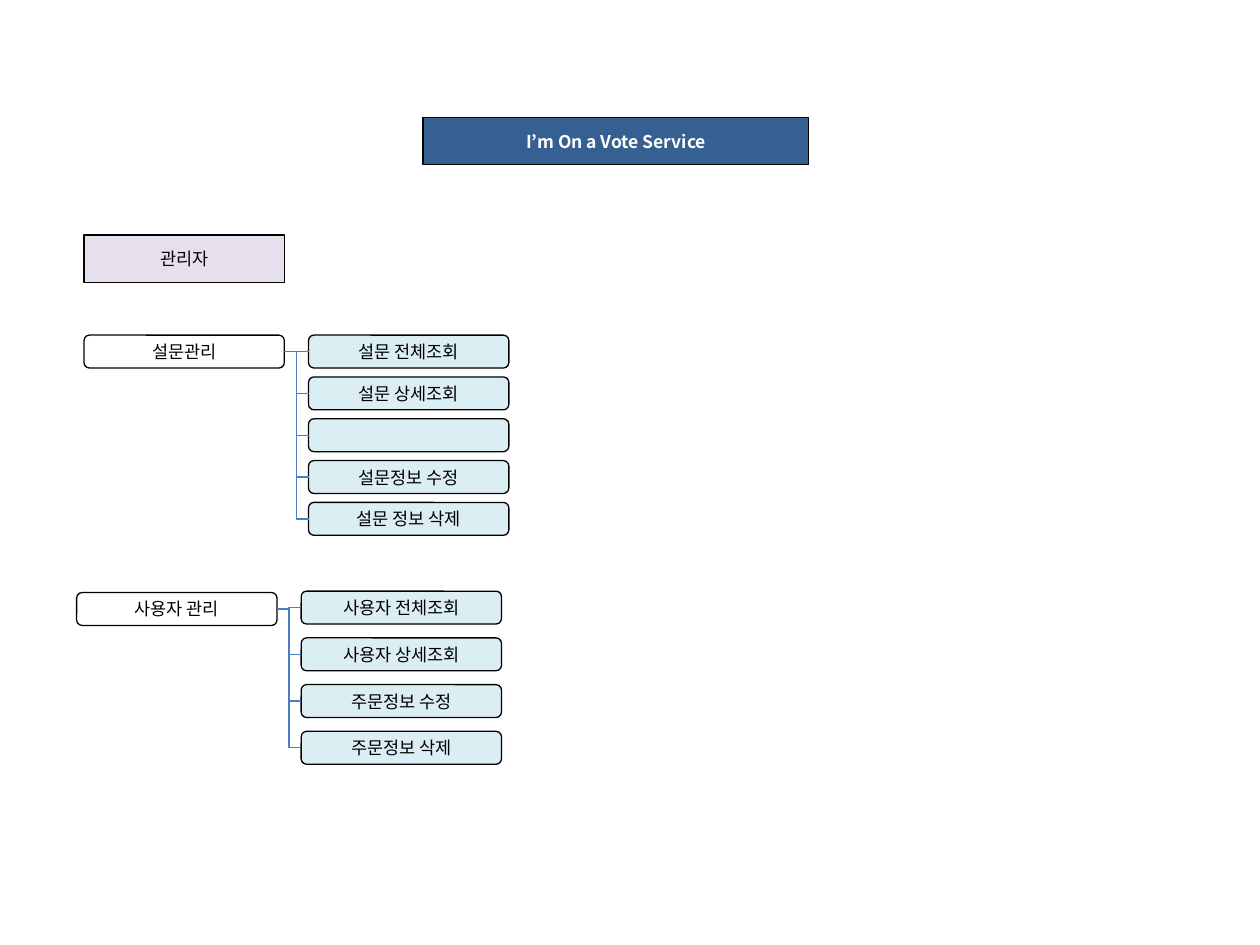
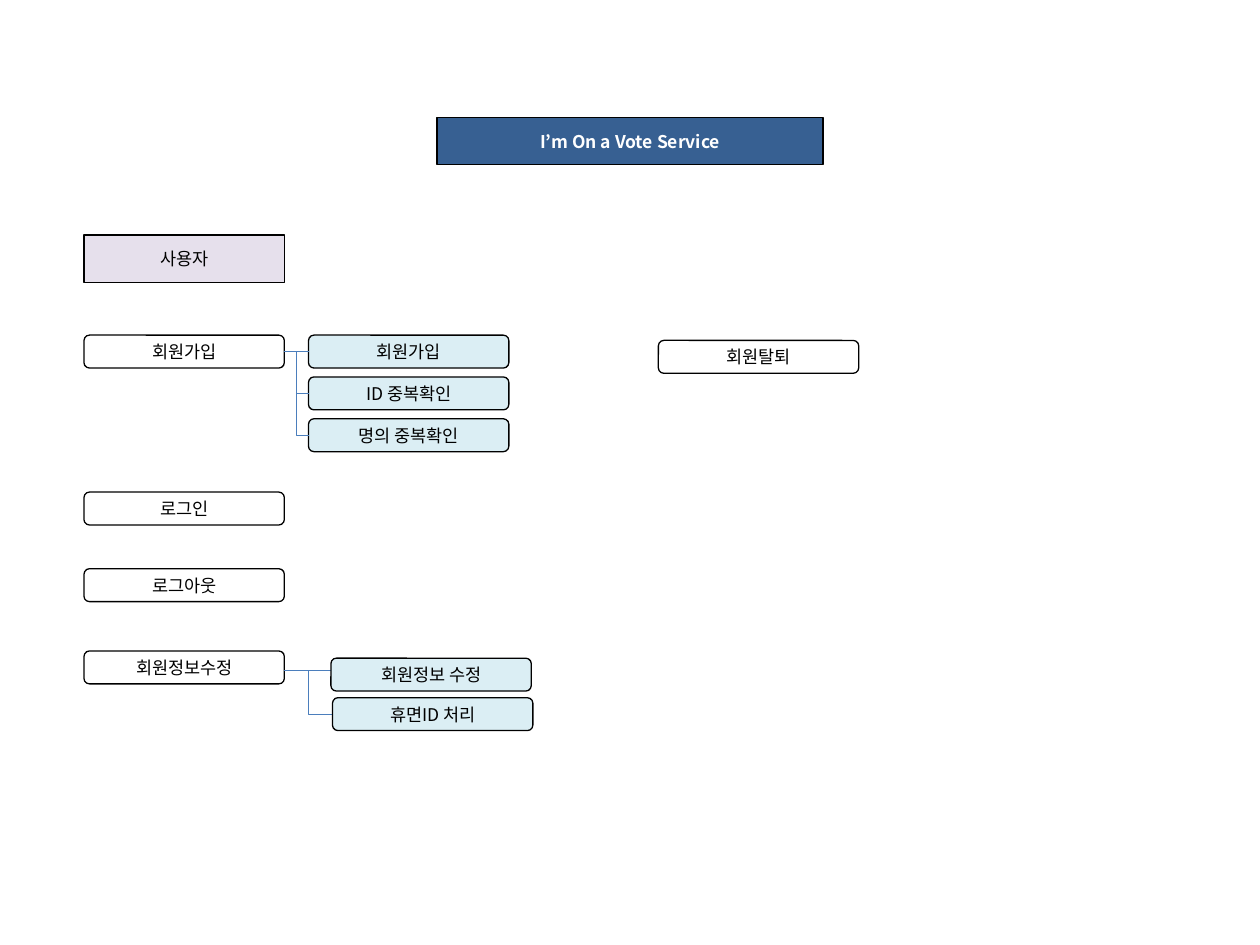
"""Builds the administrator and user menu trees of a voting service."""
from pptx import Presentation
from pptx.dml.color import RGBColor
from pptx.enum import shapes, text
from pptx.oxml import ns, xmlchemy
from pptx.util import Pt

FONT = "Noto Sans CJK KR"
BLACK = RGBColor(0x00, 0x00, 0x00)
WHITE = RGBColor(0xFF, 0xFF, 0xFF)
NAVY = RGBColor(0x37, 0x60, 0x92)
LILAC = RGBColor(0xE6, 0xE0, 0xEC)
PALE_BLUE = RGBColor(0xDB, 0xEE, 0xF4)
LINK_BLUE = RGBColor(0x4B, 0x7E, 0xBC)

HEADER_HEIGHT = 27
BOX_WIDTH, BOX_HEIGHT = 114.5, 18.8
MENU_LEFT, MENU_TOP = 48, 191.5
ITEM_OFFSET = 128.3
ITEM_PITCH = 23.9


def write(shape, words, *, size=10, color=BLACK, bold=False):
    """Write one centred line in a shape."""
    frame = shape.text_frame
    frame.word_wrap = True
    frame.vertical_anchor = text.MSO_ANCHOR.MIDDLE
    paragraph = frame.paragraphs[0]
    paragraph.alignment = text.PP_ALIGN.CENTER
    run = paragraph.add_run()
    run.text = words
    run.font.name = FONT
    run.font.size = Pt(size)
    run.font.bold = bold
    run.font.color.rgb = color
    east_asian = xmlchemy.OxmlElement("a:ea")
    east_asian.set("typeface", FONT)
    run.font._element.find(ns.qn("a:latin")).addnext(east_asian)


def box(slide, words, left, top, width=BOX_WIDTH, height=BOX_HEIGHT, *, fill=None,
        outline=shapes.MSO_SHAPE.ROUNDED_RECTANGLE, **text_format):
    """Draw an outlined box, with its label if there is one."""
    shape = slide.shapes.add_shape(outline, Pt(left), Pt(top), Pt(width), Pt(height))
    shape.shadow.inherit = False
    if fill is None:
        shape.fill.background()
    else:
        shape.fill.solid()
        shape.fill.fore_color.rgb = fill
    shape.line.color.rgb = BLACK
    shape.line.width = Pt(0.75)
    if words:
        write(shape, words, **text_format)


def link(slide, start, end):
    """Join two points with an elbow line."""
    connector = slide.shapes.add_connector(
        shapes.MSO_CONNECTOR.ELBOW, *(Pt(value) for value in (*start, *end)))
    connector.line.color.rgb = LINK_BLUE
    connector.line.width = Pt(0.75)
    connector._element.spPr.append(xmlchemy.OxmlElement("a:effectLst"))


def menu_tree(slide, menu, items, left=MENU_LEFT, top=MENU_TOP, *,
              item_top=None, pitch=ITEM_PITCH):
    """Draw a menu with its items linked in a column to its right."""
    item_top = top if item_top is None else item_top
    item_left = left + ITEM_OFFSET
    start = (left + BOX_WIDTH, top + BOX_HEIGHT / 2)
    box(slide, menu, left, top)
    for row, item in enumerate(items):
        row_top = item_top + row * pitch
        box(slide, item, item_left, row_top, fill=PALE_BLUE)
        link(slide, start, (item_left, row_top + BOX_HEIGHT / 2))


def role_page(deck, role, title_left):
    """Add a slide with the service title and the role box."""
    slide = deck.slides.add_slide(deck.slide_layouts[6])
    box(slide, "I’m On a Vote Service", title_left, 67.1, 220.5, HEADER_HEIGHT, fill=NAVY,
        outline=shapes.MSO_SHAPE.RECTANGLE, color=WHITE, bold=True)
    box(slide, role, MENU_LEFT, 134.3, height=HEADER_HEIGHT, fill=LILAC,
        outline=shapes.MSO_SHAPE.RECTANGLE)
    return slide


def administrator_page(deck):
    """Draw the administrator's menus."""
    slide = role_page(deck, "관리자", 241.7)
    menu_tree(slide, "설문관리",
              ["설문 전체조회", "설문 상세조회", "", "설문정보 수정", "설문 정보 삭제"])
    menu_tree(slide, "사용자 관리",
              ["사용자 전체조회", "사용자 상세조회", "주문정보 수정", "주문정보 삭제"],
              43.8, 338.6, item_top=337.8, pitch=26.7)


def user_page(deck):
    """Draw the user's menus."""
    slide = role_page(deck, "사용자", 249.8)
    menu_tree(slide, "회원가입", ["회원가입", "ID 중복확인", "명의 중복확인"])
    for menu, top in (("로그인", 281.2), ("로그아웃", 325), ("회원정보수정", 372)):
        box(slide, menu, MENU_LEFT, top)
    box(slide, "회원탈퇴", 376.2, 194.5)

    edit_start = (MENU_LEFT + BOX_WIDTH, 383.3)
    for item, left, top, link_y in (("회원정보 수정", 189.1, 376.1, 383.3),
                                    ("휴면ID 처리", 190, 398.7, 408.1)):
        link(slide, edit_start, (190, link_y))
        box(slide, item, left, top, fill=PALE_BLUE)


def main():
    """Build and save the deck."""
    deck = Presentation()
    deck.slide_width, deck.slide_height = Pt(720), Pt(540)
    administrator_page(deck)
    user_page(deck)
    deck.save("out.pptx")


if __name__ == "__main__":
    main()
